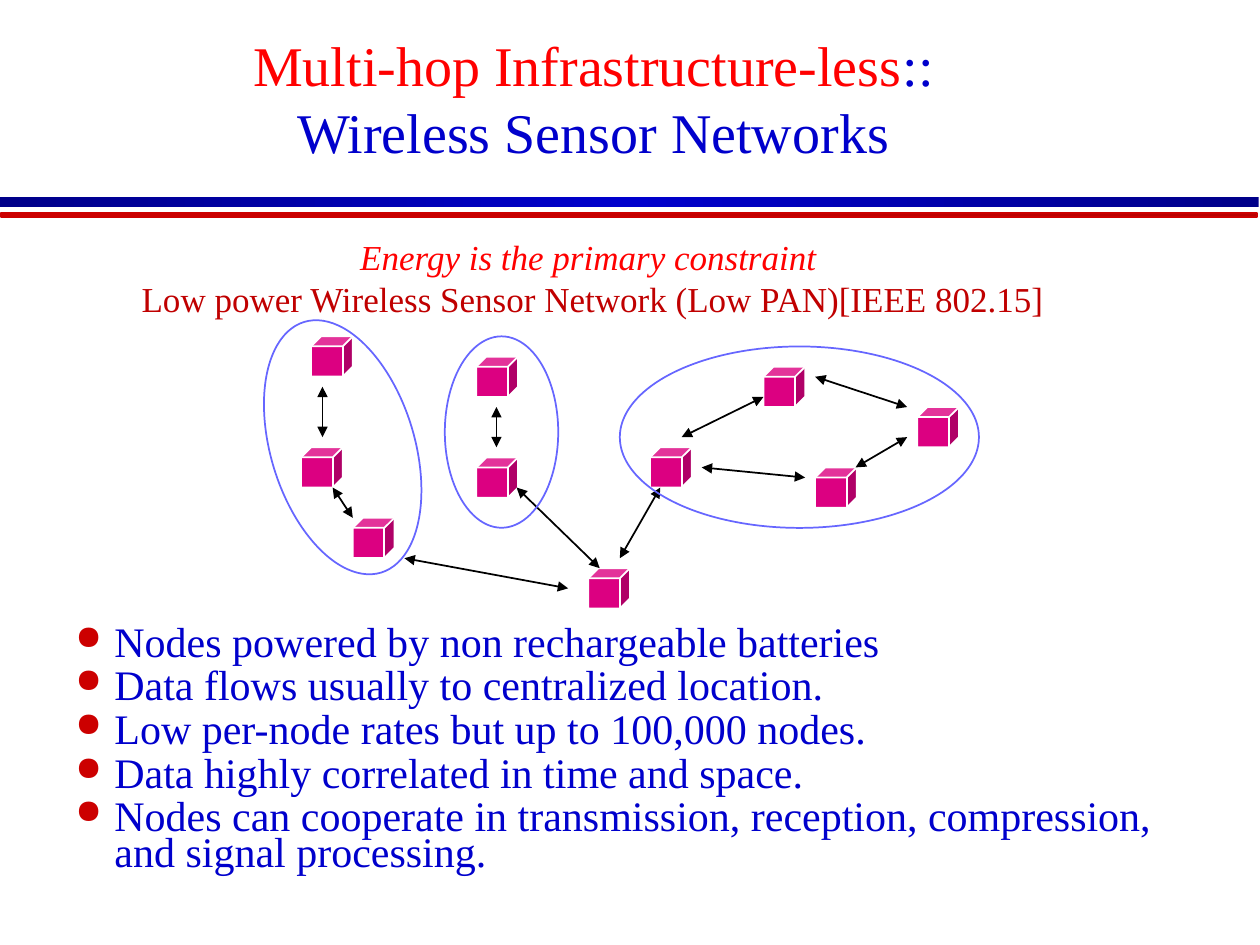
from copy import deepcopy
from typing import NamedTuple

from lxml.etree import SubElement
from pptx import Presentation
from pptx.dml.color import RGBColor
from pptx.enum.shapes import MSO_CONNECTOR as Connector, MSO_SHAPE as Preset
from pptx.enum.text import MSO_ANCHOR as Anchor, PP_ALIGN as Align
from pptx.oxml.ns import qn
from pptx.util import Pt

BLUE = RGBColor(0x00, 0x00, 0xCC)
NAVY = RGBColor(0x00, 0x00, 0x89)
RED = RGBColor(0xFF, 0x00, 0x00)
DARK_RED = RGBColor(0xC0, 0x00, 0x00)
RULE_RED = RGBColor(0xCC, 0x00, 0x00)
RULE_RED_END = RGBColor(0xB9, 0x00, 0x00)
PINK = RGBColor(0xDC, 0x00, 0x81)
PERIWINKLE = RGBColor(0x66, 0x66, 0xFF)
WHITE = RGBColor(0xFF, 0xFF, 0xFF)
BLACK = RGBColor(0x00, 0x00, 0x00)
FONT = "Times New Roman"
NODE_WIDTH, NODE_HEIGHT = 23.8, 23


class Area(NamedTuple):
    left: float
    top: float
    width: float
    height: float
    rotation: float = 0


class Node(NamedTuple):
    left: float
    top: float


class Link(NamedTuple):
    x1: float
    y1: float
    x2: float
    y2: float


NODES = [
    Node(172.1, 255.6), Node(177.8, 192.2), Node(336.2, 324.7), Node(465.8, 267.1),
    Node(272.2, 261.4), Node(436.3, 209.5), Node(524.2, 232.6), Node(272.2, 203.8),
    Node(371.5, 255.6), Node(201.6, 295.9),
]
LINKS = [
    Link(184.3, 221, 184.3, 249.8), Link(190.1, 278.6, 201.6, 295.9),
    Link(231.1, 319, 324.7, 336.2), Link(354.2, 319, 377.3, 278.6),
    Link(389.5, 249.8, 436.3, 226.8), Link(465.8, 215.3, 518.4, 232.6),
    Link(401, 267.1, 460.1, 272.9), Link(488.9, 267.1, 518.4, 249.8),
    Link(283.7, 232.6, 283.7, 255.6), Link(295.2, 278.6, 342.7, 324.7),
]
CLUSTERS = [
    Area(154.8, 180.7, 82.1, 149.8, -17.1),
    Area(254.2, 192.2, 64.8, 109.4),
    Area(354.2, 198, 205.2, 103.7),
]
BULLETS = [
    "Nodes powered by non rechargeable batteries",
    "Data flows usually to centralized location.",
    "Low per-node rates but up to 100,000 nodes.",
    "Data highly correlated in time and space.",
    "Nodes can cooperate in transmission, reception, compression, and signal processing.",
]


def add_preset(page, preset, area: Area, line: RGBColor | None = None):
    shape = page.shapes.add_shape(preset, *map(Pt, area[:4]))
    shape.rotation = area.rotation
    shape.shadow.inherit = False
    if line is None:
        shape.line.fill.background()
    else:
        shape.line.color.rgb = line
        shape.line.width = Pt(1)
    return shape


def add_rule(page, area: Area, colors: list[RGBColor], line: RGBColor | None = None) -> None:
    fill = add_preset(page, Preset.RECTANGLE, area, line).fill
    fill.gradient()
    fill.gradient_angle = 0
    stop_list = fill._fill._gradFill.find(qn("a:gsLst"))
    while len(stop_list) < len(colors):
        stop_list.append(deepcopy(stop_list[0]))
    for index, (stop, color) in enumerate(zip(fill.gradient_stops, colors)):
        stop.color.rgb = color
        stop.position = index / (len(colors) - 1)


def add_node(page, node: Node) -> None:
    cube = add_preset(page, Preset.CUBE, Area(*node, NODE_WIDTH, NODE_HEIGHT), WHITE)
    cube.fill.solid()
    cube.fill.fore_color.rgb = PINK


def add_link(page, link: Link) -> None:
    arrow = page.shapes.add_connector(Connector.STRAIGHT, *map(Pt, link))
    arrow.line.color.rgb = BLACK
    arrow.line.width = Pt(1)
    for end in ("a:headEnd", "a:tailEnd"):
        SubElement(arrow.line._get_or_add_ln(), qn(end), type="triangle")
    SubElement(arrow._element.spPr, qn("a:effectLst"))


def add_text_frame(page, area: Area):
    frame = page.shapes.add_textbox(*map(Pt, area[:4])).text_frame
    frame.word_wrap = True
    return frame


def next_paragraph(frame, index: int):
    return frame.add_paragraph() if index else frame.paragraphs[0]


def style(font, size: float, color: RGBColor | None = None) -> None:
    font.name = FONT
    font.size = Pt(size)
    if color is not None:
        font.color.rgb = color


def add_bullet(para) -> None:
    props = para._p.get_or_add_pPr()
    props.set("marL", str(Pt(58.3)))
    props.set("indent", str(Pt(-22.3)))
    SubElement(SubElement(props, qn("a:buClr")), qn("a:srgbClr"), val=str(RULE_RED))
    SubElement(props, qn("a:buSzPct"), val="80000")
    SubElement(props, qn("a:buChar"), char="●")


def add_title(page) -> None:
    frame = add_text_frame(page, Area(30.2, 12.2, 617.8, 87.1))
    frame.vertical_anchor = Anchor.MIDDLE
    para = frame.paragraphs[0]
    para.alignment = Align.CENTER
    style(para.font, 32)
    for text, color in (("Multi-hop Infrastructure-less", RED), ("::", BLUE),
                        ("Wireless Sensor Networks", BLUE)):
        if text.startswith("Wireless"):
            para.add_line_break()
        span = para.add_run()
        span.text = text
        span.font.color.rgb = color


def add_subtitle(page) -> None:
    frame = add_text_frame(page, Area(29.5, 131, 618.5, 55.4))
    lines = [
        ("Energy is the primary constraint ", RED, True),
        ("Low power Wireless Sensor Network (Low PAN)[IEEE 802.15]", DARK_RED, False),
    ]
    for index, (text, color, italic) in enumerate(lines):
        para = next_paragraph(frame, index)
        para.text = text
        para.alignment = Align.CENTER
        style(para.font, 20, color)
        para.font.italic = italic


def add_bullet_list(page) -> None:
    frame = add_text_frame(page, Area(0, 355.9, 701.3, 163))
    for index, text in enumerate(BULLETS):
        para = next_paragraph(frame, index)
        para.text = text
        add_bullet(para)
        para.line_spacing = 0.7
        if index:
            para.space_before = Pt(4.8)
        style(para.font, 24, BLUE)


def main() -> None:
    deck = Presentation()
    deck.slide_width, deck.slide_height = Pt(720), Pt(540)
    page = deck.slides.add_slide(deck.slide_layouts[6])

    # Header rules
    add_rule(page, Area(0, 112.5, 719.3, 5.8), [NAVY, BLUE, NAVY])
    add_rule(page, Area(0.7, 121.9, 717.8, 2), [RULE_RED, RULE_RED_END], RULE_RED)

    # Bullet list
    add_bullet_list(page)

    # Sensor network: nodes, links and clusters
    for node in NODES:
        add_node(page, node)
    for link in LINKS:
        add_link(page, link)
    for cluster in CLUSTERS:
        add_preset(page, Preset.OVAL, cluster, PERIWINKLE).fill.background()

    # Headings
    add_subtitle(page)
    add_title(page)

    deck.save("out.pptx")


if __name__ == "__main__":
    main()
